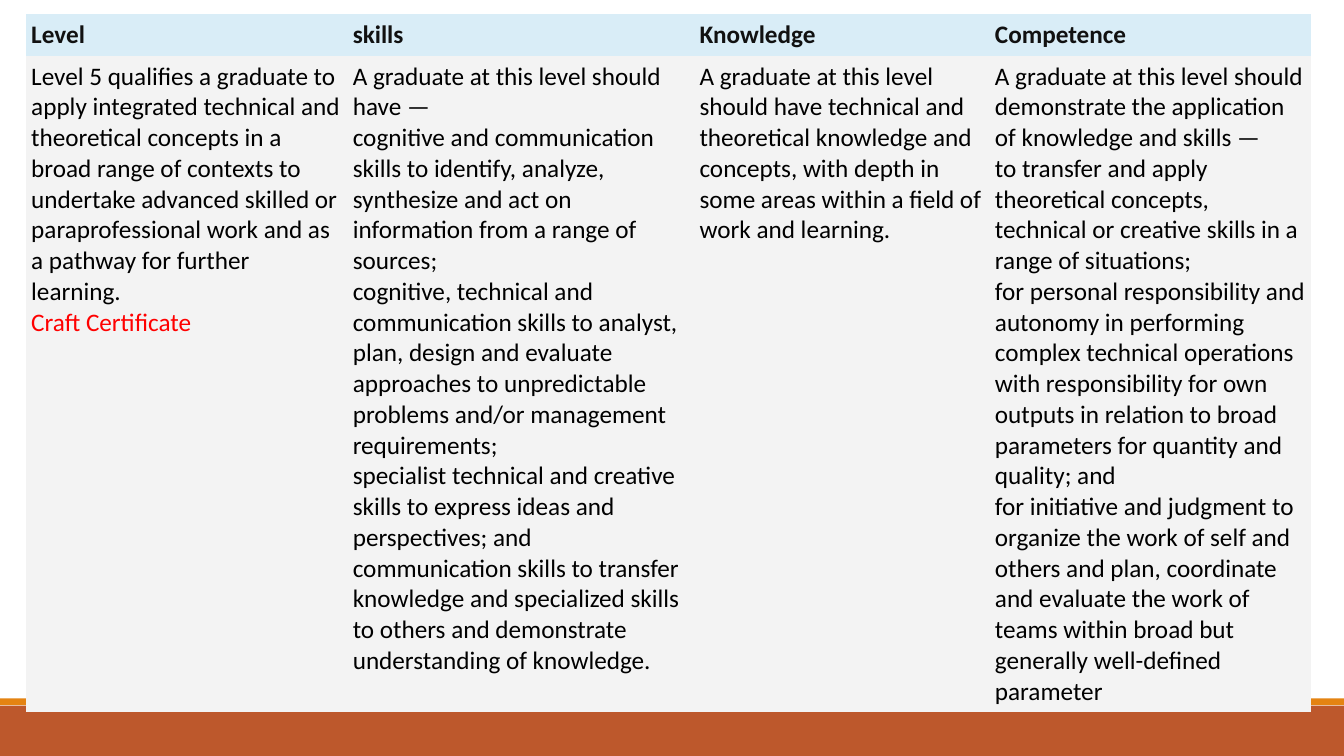
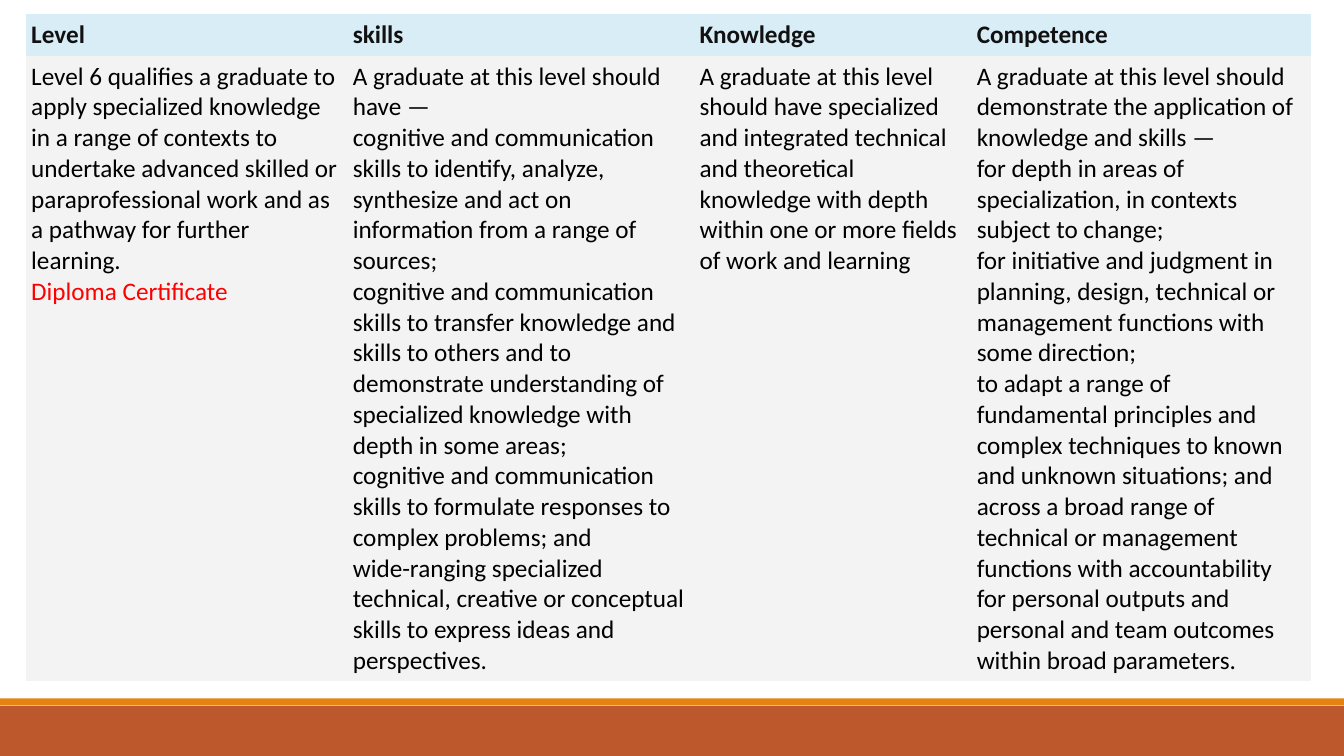
from pptx import Presentation
from pptx.dml.color import RGBColor
from pptx.enum.shapes import MSO_SHAPE as Shape
from pptx.oxml.ns import qn
from pptx.util import Pt

COLORS = {
    "footer": "BD582C",
    "stripe": "E48312",
    "header_fill": "D9EDF7",
    "body_fill": "F3F3F3",
    "header_text": "111111",
    "body_text": "000000",
    "award": "FF0000",
}
FONT = "Calibri"
FONT_SIZE = 18
WIDTH, HEIGHT = 960, 540
TABLE_LEFT, TABLE_TOP = 18.7, 10
ROW_HEIGHTS = (30, 438)
INSET = 3.6
NO_STYLE = "{2D5ABB26-0587-4C30-8999-92F81FD0307C}"
BANDS = [("footer", 504, 36), ("stripe", 498.8, 4.9)]

HEADERS = ["Level", "skills", "Knowledge", "Competence"]
LEVELS = [
    {
        "widths": (229.7, 247.7, 211, 229.7),
        "award": "Craft Certificate",
        "cells": [
            [
                "Level 5 qualifies a graduate to apply integrated technical and theoretical concepts in a broad range of contexts to undertake advanced skilled or paraprofessional work and as a pathway for further learning.",
                "Craft Certificate",
            ],
            [
                "A graduate at this level should have —",
                "cognitive and communication skills to identify, analyze, synthesize and act on information from a range of sources;",
                "cognitive, technical and communication skills to analyst, plan, design and evaluate approaches to unpredictable problems and/or management requirements;",
                "specialist technical and creative skills to express ideas and perspectives; and",
                "communication skills to transfer knowledge and specialized skills to others and demonstrate understanding of knowledge.",
            ],
            [
                "A graduate at this level should have technical and theoretical knowledge and concepts, with depth in some areas within a field of work and learning.",
            ],
            [
                "A graduate at this level should demonstrate the application of knowledge and skills —",
                "to transfer and apply theoretical concepts, technical or creative skills in a range of situations;",
                "for personal responsibility and autonomy in performing complex technical operations with responsibility for own outputs in relation to broad parameters for quantity and quality; and",
                "for initiative and judgment to organize the work of self and others and plan, coordinate and evaluate the work of teams within broad but generally well-defined parameter",
            ],
        ],
    },
    {
        "widths": (229.7, 247.7, 198, 242.7),
        "award": "Diploma Certificate",
        "cells": [
            [
                "Level 6 qualifies a graduate to apply specialized knowledge in a range of contexts to undertake advanced skilled or paraprofessional work and as a pathway for further learning.",
                "Diploma Certificate",
            ],
            [
                "A graduate at this level should have —",
                "cognitive and communication skills to identify, analyze, synthesize and act on information from a range of sources;",
                "cognitive and communication skills to transfer knowledge and skills to others and to demonstrate understanding of specialized knowledge with depth in some areas;",
                "cognitive and communication skills to formulate responses to complex problems; and",
                "wide-ranging specialized technical, creative or conceptual skills to express ideas and perspectives.",
            ],
            [
                "A graduate at this level should have specialized and integrated technical and theoretical knowledge with depth within one or more fields of work and learning",
            ],
            [
                "A graduate at this level should demonstrate the application of knowledge and skills —",
                "for depth in areas of specialization, in contexts subject to change;",
                "for initiative and judgment in planning, design, technical or management functions with some direction;",
                "to adapt a range of fundamental principles and complex techniques to known and unknown situations; and",
                "across a broad range of technical or management functions with accountability for personal outputs and personal and team outcomes within broad parameters.",
            ],
        ],
    },
]


def color(name):
    return RGBColor.from_string(COLORS[name])


def add_layout_bands(layout, page):
    for name, top, height in BANDS:
        band = page.shapes.add_shape(Shape.RECTANGLE, 0, Pt(top), Pt(WIDTH), Pt(height))
        band.shadow.inherit = False
        band.fill.solid()
        band.fill.fore_color.rgb = color(name)
        band.line.fill.background()
        layout.shapes.element.append(band.element)


def fill_cell(cell, lines, role, award):
    cell.margin_left = cell.margin_right = Pt(INSET)
    cell.margin_top = cell.margin_bottom = Pt(INSET)
    cell.fill.solid()
    cell.fill.fore_color.rgb = color(f"{role}_fill")
    cell.text_frame.text = "\n".join(lines)
    for para in cell.text_frame.paragraphs:
        for span in para.runs:
            span.font.name = FONT
            span.font.size = Pt(FONT_SIZE)
            span.font.bold = role == "header"
            span.font.color.rgb = color("award" if span.text == award else f"{role}_text")


def add_level_table(page, level):
    widths = level["widths"]
    frame = page.shapes.add_table(
        len(ROW_HEIGHTS), len(widths), Pt(TABLE_LEFT), Pt(TABLE_TOP),
        Pt(sum(widths)), Pt(sum(ROW_HEIGHTS)),
    )
    table = frame.table
    table.horz_banding = False
    for style in frame.element.iter(qn("a:tableStyleId")):
        style.text = NO_STYLE
    for row, height in zip(table.rows, ROW_HEIGHTS):
        row.height = Pt(height)
    for index, width in enumerate(widths):
        table.columns[index].width = Pt(width)
        fill_cell(table.cell(0, index), [HEADERS[index]], "header", level["award"])
        fill_cell(table.cell(1, index), level["cells"][index], "body", level["award"])


def main():
    deck = Presentation()
    deck.slide_width, deck.slide_height = Pt(WIDTH), Pt(HEIGHT)
    layout = deck.slide_layouts[6]
    pages = [deck.slides.add_slide(layout) for _ in LEVELS]
    add_layout_bands(layout, pages[0])
    for page, level in zip(pages, LEVELS):
        add_level_table(page, level)
    deck.save("out.pptx")


if __name__ == "__main__":
    main()
